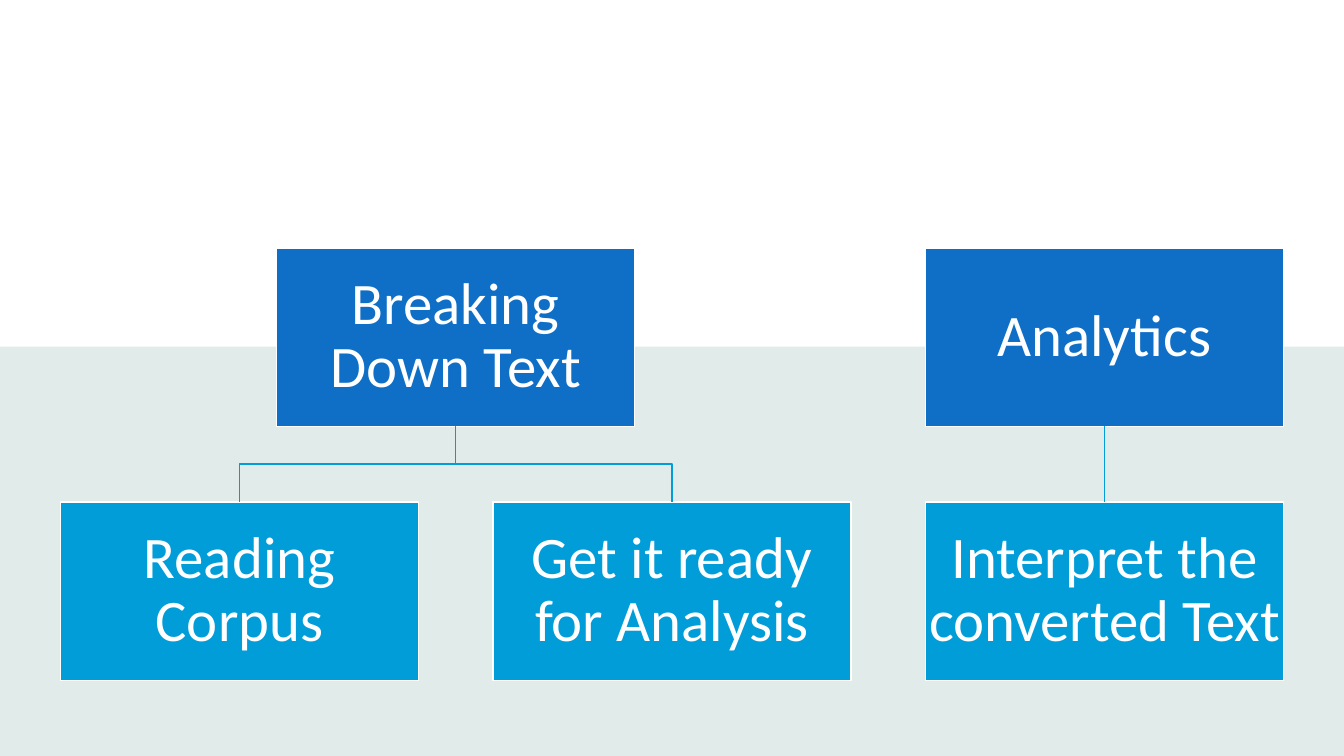
from lxml import etree
from pptx import Presentation
from pptx.dml.color import RGBColor
from pptx.enum.shapes import MSO_CONNECTOR as CONNECTOR, MSO_SHAPE as SHAPE
from pptx.enum.text import MSO_ANCHOR as ANCHOR, PP_ALIGN as ALIGN
from pptx.oxml.ns import qn
from pptx.util import Pt

PX = 9144  # 100 px to the inch
PAGE_W, PAGE_H = 1333, 750
BOX_W, BOX_H = 355, 177
COLUMN_STEP, ROW_STEP = 429, 252
WHITE, BLUE, CYAN = "FFFFFF", "0F6FC6", "009DD9"

# Heading of each branch and the steps below it
BRANCHES = [
    ("Breaking Down Text", ["Reading Corpus", "Get it ready for Analysis"]),
    ("Analytics", ["Interpret the converted Text"]),
]


def px(length):
    return round(length * PX)


def color(value):
    return RGBColor.from_string(value)


def add_rect(page, left, top, width, height, fill, line=None, alpha=None):
    """Add a filled rectangle; alpha is its opacity in percent."""
    rect = page.shapes.add_shape(SHAPE.RECTANGLE, px(left), px(top), px(width), px(height))
    rect.shadow.inherit = False
    rect.fill.solid()
    rect.fill.fore_color.rgb = color(fill)
    if line:
        set_line(rect, line)
    else:
        rect.line.fill.background()
    if alpha is not None:
        tint = rect._element.spPr.find(qn("a:solidFill"))[0]
        etree.SubElement(tint, qn("a:alpha"), val=str(alpha * 1000))
    return rect


def set_line(shape, value):
    shape.line.color.rgb = color(value)
    shape.line.width = Pt(1)


def set_text(shape, text, size=42, font="Calibri", fill=WHITE, inset=3):
    frame = shape.text_frame
    frame.word_wrap = True
    frame.vertical_anchor = ANCHOR.MIDDLE
    frame.margin_left = frame.margin_right = px(inset)
    frame.margin_top = frame.margin_bottom = px(inset)
    para = frame.paragraphs[0]
    para.alignment = ALIGN.CENTER
    para.line_spacing = 0.9
    span = para.add_run()
    span.text = text
    span.font.size = Pt(size)
    span.font.name = font
    span.font.color.rgb = color(fill)


def add_box(page, left, top, text, fill):
    box = add_rect(page, left, top, BOX_W, BOX_H, fill, WHITE)
    set_text(box, text)
    return box


def join(page, parent, child):
    """Link the bottom of parent to the top of child, bending halfway if needed."""
    start_x, start_y = parent.left + parent.width // 2, parent.top + parent.height
    end_x, end_y = child.left + child.width // 2, child.top
    if start_x == end_x:
        link = page.shapes.add_connector(CONNECTOR.STRAIGHT, start_x, start_y, end_x, end_y)
        link.begin_connect(parent, 2)
        link.end_connect(child, 0)
        etree.SubElement(link._element.spPr, qn("a:effectLst"))
    else:
        middle = (start_y + end_y) // 2
        path = page.shapes.build_freeform(start_x, start_y)
        path.add_line_segments([(start_x, middle), (end_x, middle), (end_x, end_y)], close=False)
        link = path.convert_to_shape()
        link.fill.background()
        link.shadow.inherit = False
    set_line(link, CYAN)


def add_background(page, left, top, width, height):
    add_rect(page, left, top, width, height, "F2F2F2")
    add_rect(page, left, top, width, height, "0C9B74", alpha=7)
    add_rect(page, left, top, width, 344, WHITE)


def add_hierarchy(page, left, top):
    """Place the branches side by side, each heading centred over its steps."""
    for heading, steps in BRANCHES:
        offset = (len(steps) - 1) * COLUMN_STEP / 2
        parent = add_box(page, left + offset, top, heading, BLUE)
        for step in steps:
            child = add_box(page, left, top + ROW_STEP, step, CYAN)
            join(page, parent, child)
            left += COLUMN_STEP


def main():
    deck = Presentation()
    deck.slide_width, deck.slide_height = px(PAGE_W), px(PAGE_H)
    page = deck.slides.add_slide(deck.slide_layouts[6])
    add_background(page, 0, 0, PAGE_W, PAGE_H)
    add_hierarchy(page, 60, 246)
    deck.save("out.pptx")


if __name__ == "__main__":
    main()
